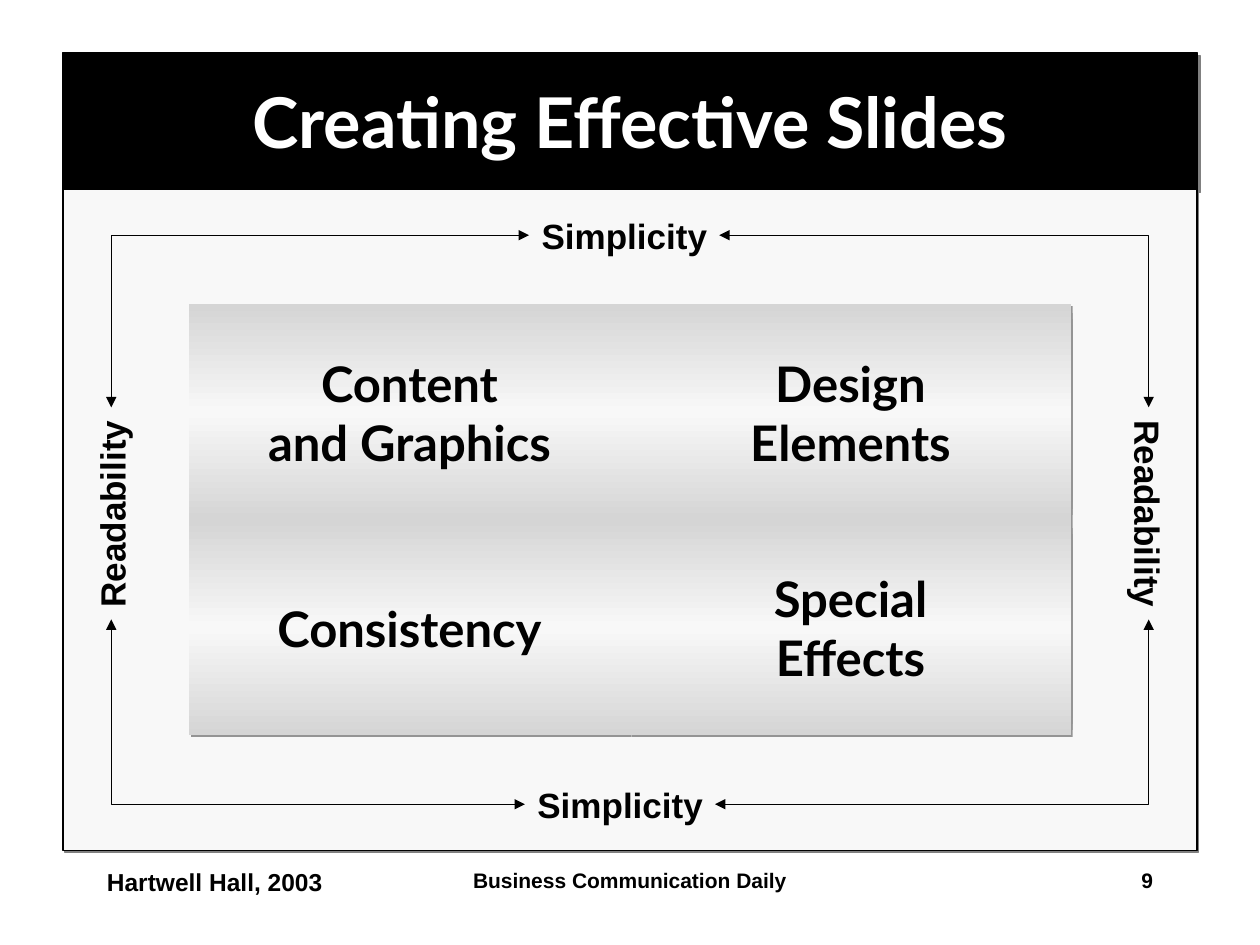
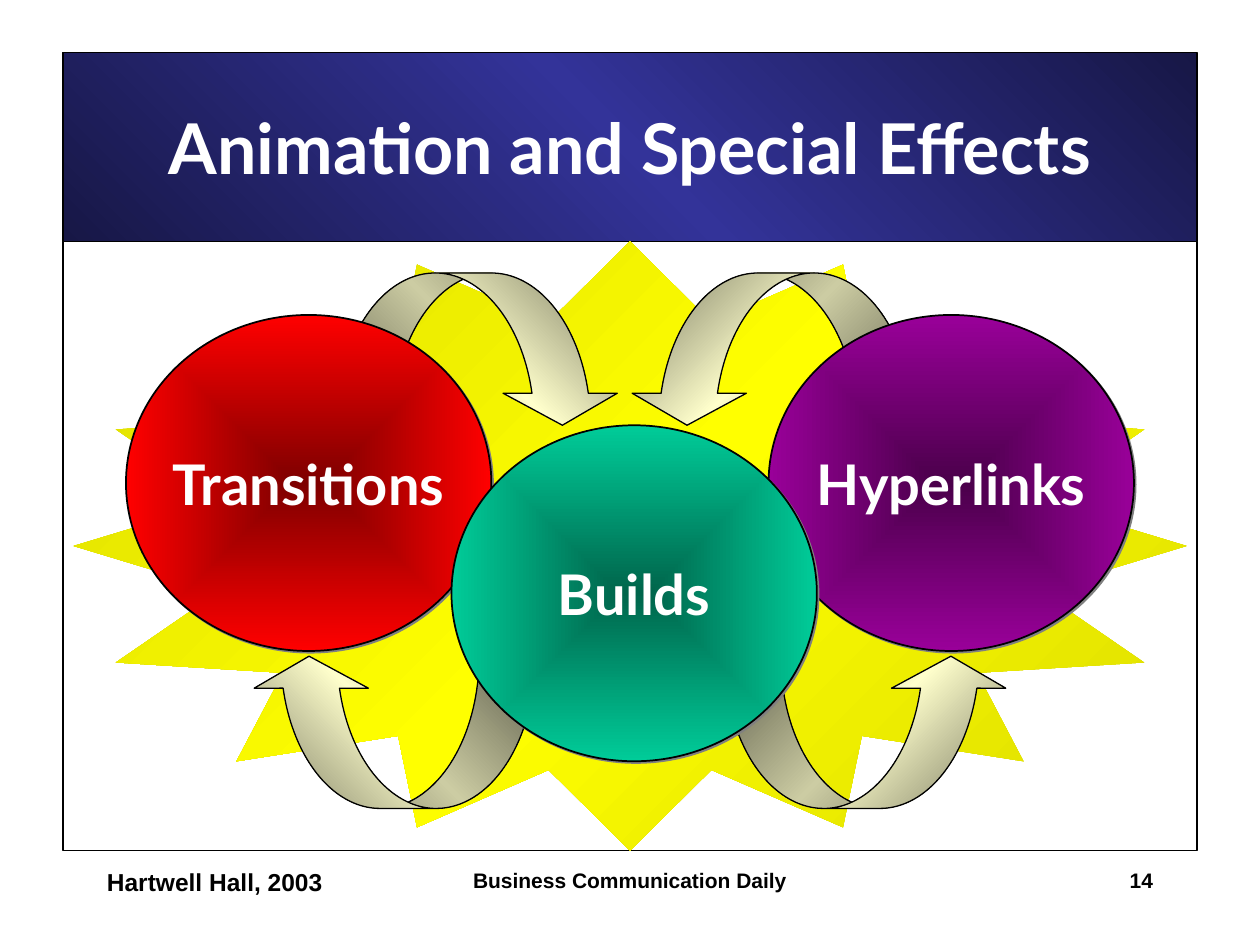
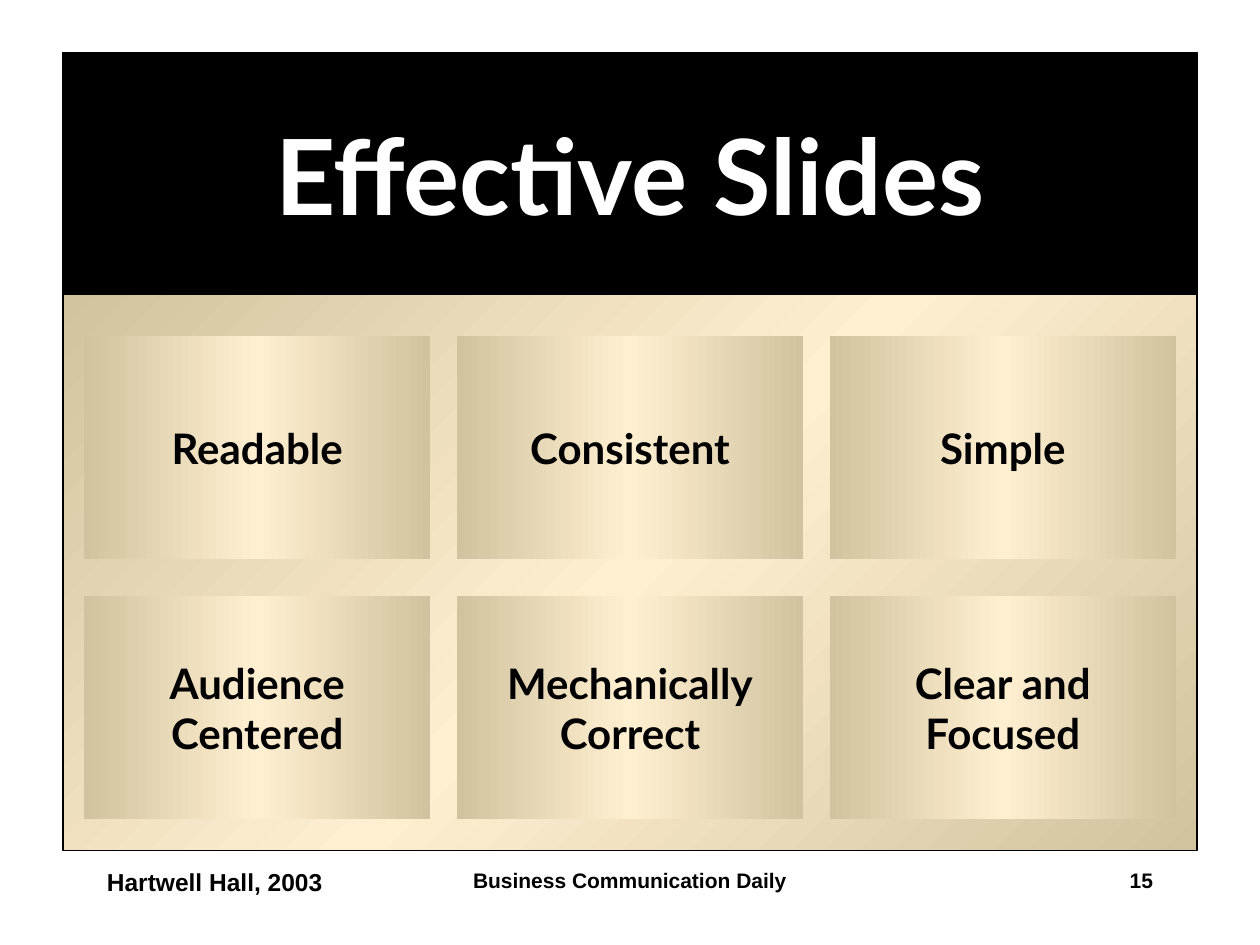
from typing import NamedTuple

from lxml import etree
from pptx import Presentation
from pptx.dml.color import RGBColor
from pptx.enum.shapes import MSO_CONNECTOR, MSO_SHAPE
from pptx.enum.text import MSO_ANCHOR, MSO_AUTO_SIZE, PP_ALIGN
from pptx.oxml import parse_xml
from pptx.oxml.ns import nsdecls, qn
from pptx.util import Emu, Pt

RECT, OVAL, STAR = MSO_SHAPE.RECTANGLE, MSO_SHAPE.OVAL, MSO_SHAPE.STAR_16_POINT
CURVE = MSO_SHAPE.CURVED_DOWN_ARROW
ELBOW = MSO_CONNECTOR.ELBOW
LEFT, CENTER, RIGHT = PP_ALIGN.LEFT, PP_ALIGN.CENTER, PP_ALIGN.RIGHT
MIDDLE, FIT = MSO_ANCHOR.MIDDLE, MSO_AUTO_SIZE.SHAPE_TO_FIT_TEXT

PX = 7620  # EMU per px, 120 px to the inch
HEAD, BODY = "Lato", "Arial"

BLACK = RGBColor(0x00, 0x00, 0x00)
WHITE = RGBColor(0xFF, 0xFF, 0xFF)
GRAY = RGBColor(0x80, 0x80, 0x80)
SHADE = RGBColor(0x94, 0x94, 0x94)
PALE = RGBColor(0xF8, 0xF8, 0xF8)
SILVER = RGBColor(0xD5, 0xD5, 0xD5)
NAVY = RGBColor(0x17, 0x17, 0x46)
BLUE = RGBColor(0x33, 0x33, 0x99)
GOLD = RGBColor(0xDB, 0xDB, 0x00)
YELLOW = RGBColor(0xFF, 0xFF, 0x00)
OLIVE = RGBColor(0x75, 0x75, 0x5E)
IVORY = RGBColor(0xFF, 0xFF, 0xCC)
SAND = RGBColor(0xD1, 0xC3, 0x9F)
CREAM = RGBColor(0xFF, 0xEF, 0xD1)
PLUM = RGBColor(0x4B, 0x00, 0x4B)
PURPLE = RGBColor(0x99, 0x00, 0x99)
MAROON = RGBColor(0x7E, 0x00, 0x00)
RED = RGBColor(0xFF, 0x00, 0x00)
PINE = RGBColor(0x00, 0x65, 0x4B)
TEAL = RGBColor(0x00, 0xCC, 0x99)


class Box(NamedTuple):
    x: int
    y: int
    w: int
    h: int

    def emu(self) -> list[Emu]:
        return [Emu(n * PX) for n in self]


class Band(NamedTuple):
    """Linear gradient from edge to mid and back to edge."""
    edge: RGBColor
    mid: RGBColor
    angle: int


class Glow(NamedTuple):
    """Gradient from the core of a shape out to its rim."""
    core: RGBColor
    rim: RGBColor


class Shadow(NamedTuple):
    color: RGBColor
    dist: float


class Font(NamedTuple):
    size: int
    color: RGBColor = BLACK
    name: str = HEAD


class Foot(NamedTuple):
    box: Box
    size: int
    align: PP_ALIGN


class Label(NamedTuple):
    text: str
    box: Box
    turn: int = 0


class Link(NamedTuple):
    """Elbow arrow that leaves sideways and arrives upright."""
    x1: int
    y1: int
    x2: int
    y2: int


class Arrow(NamedTuple):
    x: int
    y: int
    flips: tuple[str, ...] = ()


class Disc(NamedTuple):
    text: str
    x: int
    y: int
    fill: Glow


Fill = RGBColor | Band | Glow | None

LEFT_FOOT = Foot(Box(90, 820, 250, 60), 14, LEFT)
MID_FOOT = Foot(Box(410, 820, 380, 60), 12, CENTER)
PAGE_FOOT = Foot(Box(860, 820, 250, 60), 12, RIGHT)
FRAME = Box(60, 50, 1080, 760)
SOFT = Shadow(GRAY, 1.4)

LABELS = [
    Label("Simplicity", Box(500, 740, 184, 53)),
    Label("Simplicity", Box(504, 198, 184, 53)),
    Label("Readability", Box(992, 463, 202, 53), 90),
    Label("Readability", Box(6, 463, 202, 53), 270),
]
LINKS = [
    Link(685, 224, 1094, 388),
    Link(681, 766, 1094, 590),
    Link(500, 766, 106, 590),
    Link(504, 224, 106, 388),
]
ARROWS = [
    Arrow(600, 260, ("flipH",)),
    Arrow(320, 260),
    Arrow(690, 625, ("flipV",)),
    Arrow(240, 625, ("flipH", "flipV")),
]
DISCS = [
    Disc("Hyperlinks", 732, 300, Glow(PLUM, PURPLE)),
    Disc("Transitions", 120, 300, Glow(MAROON, RED)),
    Disc("Builds", 430, 405, Glow(PINE, TEAL)),
]


def shade(shape, fill: Band | Glow) -> None:
    """Give the shape a gradient fill."""
    if isinstance(fill, Band):
        stops = [(0, fill.edge), (50, fill.mid), (100, fill.edge)]
        way = f'<a:lin ang="{fill.angle * 60000}" scaled="0"/>'
    else:
        stops = [(0, fill.core), (100, fill.rim)]
        way = ('<a:path path="rect"><a:fillToRect l="50000" t="50000" '
               'r="50000" b="50000"/></a:path>')
    marks = "".join(f'<a:gs pos="{pos * 1000}"><a:srgbClr val="{color}"/></a:gs>'
                    for pos, color in stops)
    shape.fill.solid()
    props = shape._element.spPr
    props.replace(props.find(qn("a:solidFill")), parse_xml(
        f'<a:gradFill {nsdecls("a")} rotWithShape="1">'
        f'<a:gsLst>{marks}</a:gsLst>{way}</a:gradFill>'))


def write(shape, text: str, font: Font, align: PP_ALIGN, wrap: bool) -> None:
    frame = shape.text_frame
    frame.text = text
    frame.word_wrap = wrap
    for par in frame.paragraphs:
        par.alignment = align
        par.font.name = font.name
        par.font.size = Pt(font.size)
        par.font.bold = True
        par.font.color.rgb = font.color


def draw(slide, kind: MSO_SHAPE, box: Box, fill: Fill, line: float = 0,
         shadow: Shadow | None = None):
    shape = slide.shapes.add_shape(kind, *box.emu())
    if fill is None:
        shape.fill.background()
    elif isinstance(fill, RGBColor):
        shape.fill.solid()
        shape.fill.fore_color.rgb = fill
    else:
        shade(shape, fill)
    if line:
        shape.line.color.rgb = BLACK
        shape.line.width = Pt(line)
    else:
        shape.line.fill.background()
    shape.shadow.inherit = False
    if shadow:
        shape._element.spPr.find(qn("a:effectLst")).append(parse_xml(
            f'<a:outerShdw {nsdecls("a")} dist="{Pt(shadow.dist)}" dir="2700000" '
            f'algn="ctr" rotWithShape="0"><a:srgbClr val="{shadow.color}"/>'
            '</a:outerShdw>'))
    return shape


def caption(shape, text: str, font: Font) -> None:
    """Centre text within a shape."""
    write(shape, text, font, CENTER, False)
    shape.text_frame.vertical_anchor = MIDDLE


def footer(slide, foot: Foot, text: str) -> None:
    box = slide.shapes.add_textbox(*foot.box.emu())
    write(box, text, Font(foot.size, name=BODY), foot.align, True)


def start(deck, title: str, size: int, height: int, page: int, top: Fill,
          body: Fill, cast: tuple[Shadow | None, Shadow | None] = (None, None)):
    """Add a slide with its title band, body panel and footers."""
    slide = deck.slides.add_slide(deck.slide_layouts[6])
    x, y, w, h = FRAME
    band = draw(slide, RECT, Box(x, y, w, height), top, 0.75, cast[0])
    caption(band, title, Font(size, WHITE))
    draw(slide, RECT, Box(x, y + height, w, h - height), body, 0.75, cast[1])
    footer(slide, MID_FOOT, "Business Communication Daily")
    footer(slide, PAGE_FOOT, str(page))
    footer(slide, LEFT_FOOT, "Hartwell Hall, 2003")
    return slide


def grid(slide, rows: list[list[str]], cell: Box, gap: tuple[int, int],
         fill: Band, size: int, shadow: Shadow | None = None) -> None:
    """Lay out captioned tiles from the first cell, column by column."""
    for col in range(len(rows[0])):
        for row, texts in enumerate(rows):
            box = cell._replace(x=cell.x + col * (cell.w + gap[0]),
                                y=cell.y + row * (cell.h + gap[1]))
            tile = draw(slide, RECT, box, fill, shadow=shadow)
            caption(tile, texts[col], Font(size))


def tag(slide, label: Label) -> None:
    box = slide.shapes.add_textbox(*label.box.emu())
    box.rotation = label.turn
    write(box, label.text, Font(20, name=BODY), LEFT, False)
    box.text_frame.auto_size = FIT


def connect(slide, link: Link) -> None:
    line = slide.shapes.add_connector(ELBOW, *[Emu(n * PX) for n in link])
    line.line.color.rgb = BLACK
    line.line.width = Pt(0.75)
    props = line._element.spPr
    props.find(qn("a:prstGeom")).set("prst", "bentConnector2")
    for end in ("a:headEnd", "a:tailEnd"):
        etree.SubElement(props.find(qn("a:ln")), qn(end), type="triangle")
    etree.SubElement(props, qn("a:effectLst"))


def swirl(slide, arrow: Arrow) -> None:
    """Draw a curved arrow, mirrored as asked."""
    box = Box(arrow.x, arrow.y, 270, 145)
    shape = draw(slide, CURVE, box, Band(OLIVE, IVORY, 135), 0.75)
    for i, value in enumerate((0.37, 0.75, 0.21)):
        shape.adjustments[i] = value
    for flip in arrow.flips:
        shape._element.spPr.get_or_add_xfrm().set(flip, "1")


def create(deck) -> None:
    slide = start(deck, "Creating Effective Slides", 40, 130, 9, BLACK, PALE,
                  (Shadow(GRAY, 2.8), SOFT))
    rows = [["Content\nand Graphics", "Design\nElements"],
            ["Consistency", "Special\nEffects"]]
    grid(slide, rows, Box(180, 290, 420, 205), (0, 0),
         Band(SILVER, PALE, 90), 28, Shadow(SHADE, 1.4))
    for label in LABELS:
        tag(slide, label)
    for link in LINKS:
        connect(slide, link)


def animate(deck) -> None:
    slide = start(deck, "Animation and Special Effects", 40, 180, 14,
                  Band(NAVY, BLUE, 135), None)
    draw(slide, STAR, Box(70, 230, 1060, 580), Band(GOLD, YELLOW, 225))
    for arrow in ARROWS:
        swirl(slide, arrow)
    for disc in DISCS:
        box = Box(disc.x, disc.y, 348, 320)
        oval = draw(slide, OVAL, box, disc.fill, 1, SOFT)
        caption(oval, disc.text, Font(32, WHITE))


def review(deck) -> None:
    slide = start(deck, "Effective Slides", 60, 230, 15, BLACK,
                  Band(SAND, CREAM, 225))
    rows = [["Readable", "Consistent", "Simple"],
            ["Audience\nCentered", "Mechanically\nCorrect", "Clear and\nFocused"]]
    grid(slide, rows, Box(80, 320, 330, 212), (25, 36),
         Band(SAND, CREAM, 180), 24)


def main() -> None:
    deck = Presentation()
    deck.slide_width, deck.slide_height = Emu(1200 * PX), Emu(900 * PX)
    create(deck)
    animate(deck)
    review(deck)
    deck.save("out.pptx")


if __name__ == "__main__":
    main()
